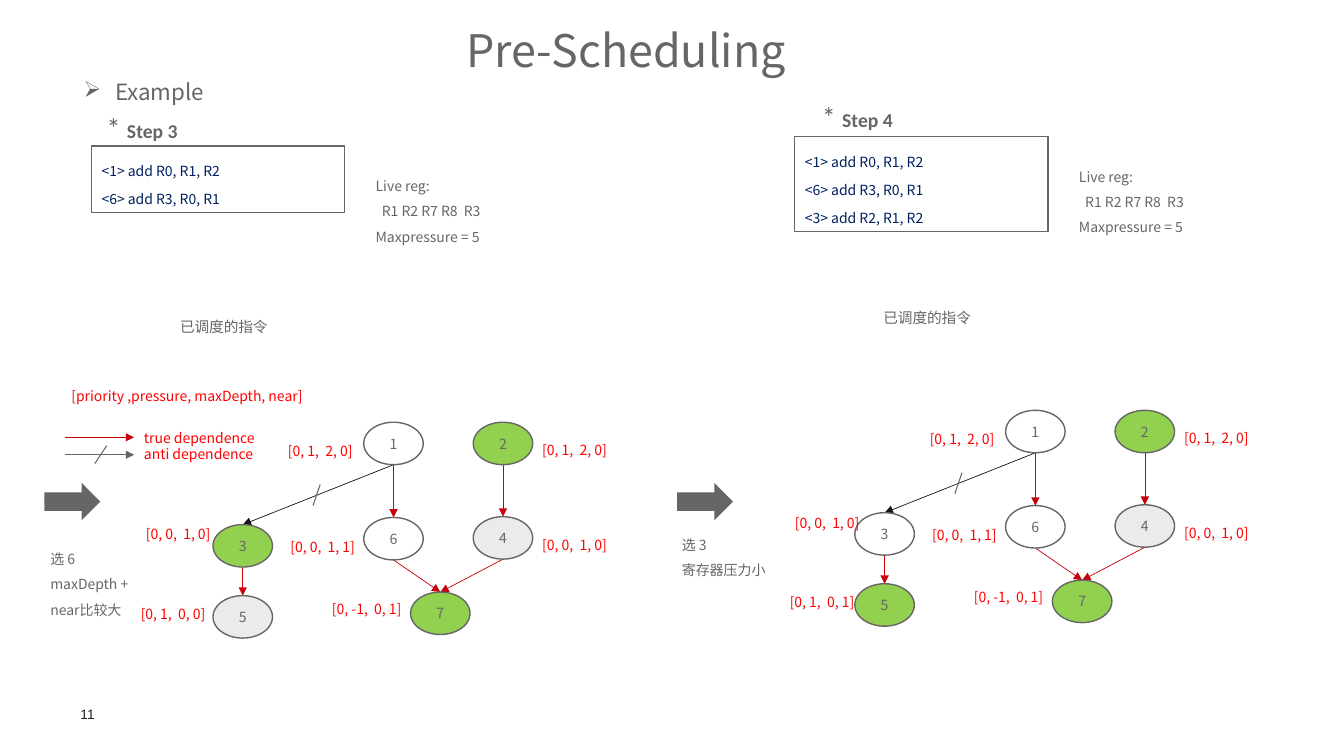
from lxml.etree import SubElement
from pptx import Presentation
from pptx.dml.color import RGBColor
from pptx.enum.shapes import MSO_CONNECTOR, MSO_SHAPE
from pptx.enum.text import MSO_ANCHOR, PP_ALIGN
from pptx.oxml.ns import qn
from pptx.util import Cm, Pt

GREY = RGBColor(0x66, 0x66, 0x66)
NAVY = RGBColor(0x00, 0x20, 0x60)
RED = RGBColor(0xFF, 0x00, 0x00)
DARK_RED = RGBColor(0xC7, 0x00, 0x0A)
BLACK = RGBColor(0x15, 0x15, 0x15)
NUMBER_INK = RGBColor(0x1D, 0x1D, 0x1B)
WHITE = RGBColor(0xFF, 0xFF, 0xFF)
GREEN = RGBColor(0x92, 0xD0, 0x50)
PALE = RGBColor(0xEB, 0xEB, 0xEB)
FONT = "Noto Sans CJK SC"

deck = Presentation()
deck.slide_width, deck.slide_height = Cm(33.88), Cm(19.05)
page = deck.slides.add_slide(deck.slide_layouts[5])


def write(box, text, size=10, color=GREY, spacing=None, align=PP_ALIGN.LEFT,
          anchor=MSO_ANCHOR.TOP, font=FONT, inset=True):
    frame = box.text_frame
    frame.text = text
    frame.word_wrap = True
    frame.vertical_anchor = anchor
    if not inset:
        frame.margin_left = frame.margin_right = frame.margin_top = frame.margin_bottom = 0
    for para in frame.paragraphs:
        para.alignment = align
        if spacing:
            para.line_spacing = spacing
        for span in para.runs:
            span.font.size, span.font.name = Pt(size), font
            span.font.color.rgb = color
            SubElement(span.font._element, qn("a:ea")).set("typeface", font)
    return box


def draw_line(x1, y1, x2, y2, color, width=0.5, arrow=True):
    line = page.shapes.add_connector(MSO_CONNECTOR.STRAIGHT, Cm(x1), Cm(y1), Cm(x2), Cm(y2))
    line.line.color.rgb = color
    line.line.width = Pt(width)
    if arrow:
        SubElement(line.line._get_or_add_ln(), qn("a:tailEnd")).set("type", "triangle")
    SubElement(line._element.spPr, qn("a:effectLst"))


# Title
title = page.shapes.title
title.left, title.top, title.width, title.height = Cm(0.86), Cm(0.71), Cm(29.85), Cm(1.24)
write(title, "Pre-Scheduling", 32, spacing=Pt(34.3), align=PP_ALIGN.CENTER, inset=False)

# Bulleted heading and slide number
heading = page.shapes.add_textbox(Cm(2.06), Cm(1.98), Cm(10), Cm(0.8))
write(heading, "Example", 16, inset=False)
bullet = heading.text_frame.paragraphs[0]._p.get_or_add_pPr()
bullet.set("marL", str(Cm(0.84)))
bullet.set("indent", str(-Cm(0.79)))
SubElement(bullet, qn("a:buChar")).set("char", "➢")
number = page.shapes.add_textbox(Cm(2.03), Cm(17.78), Cm(1.4), Cm(0.41))
write(number, "11", 9.7, NUMBER_INK, font="Arial", inset=False)

# Legend of the graph
legend = [
    ("[priority ,pressure, maxDepth, near]", 1.55, 9.63, 7.67),
    ("true dependence", 3.38, 10.69, 3.45),
    ("anti dependence", 3.38, 11.1, 3.45),
]
for text, left, top, width in legend:
    write(page.shapes.add_textbox(Cm(left), Cm(top), Cm(width), Cm(0.69)), text, color=RED)
draw_line(1.65, 11.02, 3.38, 11.02, DARK_RED)
draw_line(1.65, 11.46, 3.38, 11.46, GREY)
draw_line(2.39, 11.68, 2.69, 11.23, GREY, 0.75, arrow=False)

# Graph layout, measured from the corner of node 1
NODE_WIDTH, NODE_HEIGHT = 1.5, 1.07
nodes = {"1": (0, 0), "2": (2.76, 0), "3": (-3.8, 2.58), "4": (2.76, 2.38),
         "5": (-3.8, 4.37), "6": (0, 2.4), "7": (1.18, 4.28)}
label_places = {"1": (-2.16, -0.41), "2": (4.25, -0.43), "3": (-5.74, 1.7),
                "4": (4.25, 1.96), "5": (-5.87, 3.7), "6": (-2.1, 2.01), "7": (-1.05, 3.58)}
edges = [("1", "3", BLACK), ("1", "6", DARK_RED), ("2", "4", DARK_RED),
         ("6", "7", DARK_RED), ("4", "7", DARK_RED), ("3", "5", DARK_RED)]
labels = {"1": "[0, 1,  2, 0]", "2": "[0, 1,  2, 0]", "3": "[0, 0,  1, 0]",
          "4": "[0, 0,  1, 0]", "6": "[0, 0,  1, 1]", "7": "[0, -1,  0, 1]"}

steps = [
    dict(name="Step 3", name_at=(2.44, 2.67), code_at=(2.31, 3.68), code_height=1.68,
         code="<1> add R0, R1, R2\n<6> add R3, R0, R1",
         arrow_left=1.12, choice="选 6\nmaxDepth + near比较大", choice_at=(1.02, 13.54),
         choice_width=2.69, graph_at=(9.17, 10.64), label_shift=0, last_label="[0, 1,  0, 0]",
         fills={"2": GREEN, "3": GREEN, "4": PALE, "5": PALE, "7": GREEN}),
    dict(name="Step 4", name_at=(20.47, 2.39), code_at=(20.04, 3.45), code_height=2.39,
         code="<1> add R0, R1, R2\n<6> add R3, R0, R1\n<3> add R2, R1, R2",
         arrow_left=17.07, choice="选 3\n寄存器压力小", choice_at=(16.94, 13.18),
         choice_width=2.84, graph_at=(25.35, 10.34), label_shift=0.18, last_label="[0, 1,  0, 1]",
         fills={"2": GREEN, "4": PALE, "5": GREEN, "7": GREEN}),
]

for step in steps:
    # Scheduled instructions
    left, top = step["code_at"]
    code = page.shapes.add_shape(MSO_SHAPE.RECTANGLE, Cm(left), Cm(top), Cm(6.38),
                                 Cm(step["code_height"]))
    code.shadow.inherit = False
    code.fill.background()
    code.line.color.rgb, code.line.width = GREY, Pt(0.75)
    write(code, step["code"], color=NAVY, spacing=Pt(20))
    caption = page.shapes.add_textbox(Cm(left + 1.98), Cm(top + 3.43), Cm(2.9), Cm(1.47))
    write(caption, "已调度的指令", 10.5, spacing=Pt(34.4))
    registers = page.shapes.add_textbox(Cm(left + 6.91), Cm(top + 0.46), Cm(5.31), Cm(2.18))
    write(registers, "Live reg:\n  R1 R2 R7 R8  R3\nMaxpressure = 5", spacing=1.5)

    # Step name
    left, top = step["name_at"]
    name = page.shapes.add_textbox(Cm(left), Cm(top), Cm(2.31), Cm(1.12))
    write(name, "* ", 20, font="Calibri")
    name.text_frame.word_wrap = False
    span = name.text_frame.paragraphs[0].add_run()
    span.text = step["name"]
    span.font.size, span.font.bold, span.font.name = Pt(14), True, "Calibri"
    span.font.color.rgb = GREY

    # Choice made in this step
    arrow = page.shapes.add_shape(MSO_SHAPE.RIGHT_ARROW, Cm(step["arrow_left"]), Cm(12.17),
                                  Cm(1.41), Cm(0.94))
    arrow.shadow.inherit = False
    arrow.fill.solid()
    arrow.fill.fore_color.rgb = GREY
    arrow.line.fill.background()
    left, top = step["choice_at"]
    choice = page.shapes.add_textbox(Cm(left), Cm(top), Cm(step["choice_width"]), Cm(2.18))
    write(choice, step["choice"], spacing=1.5)

    # Dependence graph: edges, then nodes with their labels
    left, top = step["graph_at"]
    for start, end, color in edges:
        (x1, y1), (x2, y2) = nodes[start], nodes[end]
        draw_line(left + x1 + NODE_WIDTH / 2, top + y1 + NODE_HEIGHT,
                  left + x2 + NODE_WIDTH / 2, top + y2, color)
    draw_line(left - 1.28, top + 2.1, left - 1.1, top + 1.57, GREY, 0.75, arrow=False)
    for key, (x, y) in nodes.items():
        node = page.shapes.add_shape(MSO_SHAPE.OVAL, Cm(left + x), Cm(top + y),
                                     Cm(NODE_WIDTH), Cm(NODE_HEIGHT))
        node.shadow.inherit = False
        node.fill.solid()
        node.fill.fore_color.rgb = step["fills"].get(key, WHITE)
        node.line.color.rgb, node.line.width = GREY, Pt(1)
        write(node, key, align=PP_ALIGN.CENTER, anchor=MSO_ANCHOR.MIDDLE)
        x, y = label_places[key]
        shift = step["label_shift"] if key in "35" else 0
        label = page.shapes.add_textbox(Cm(left + x + shift), Cm(top + y),
                                        Cm(2.5 if key == "7" else 2.16), Cm(1.47))
        write(label, labels.get(key, step["last_label"]), color=RED, spacing=Pt(34.4))

deck.save("out.pptx")
